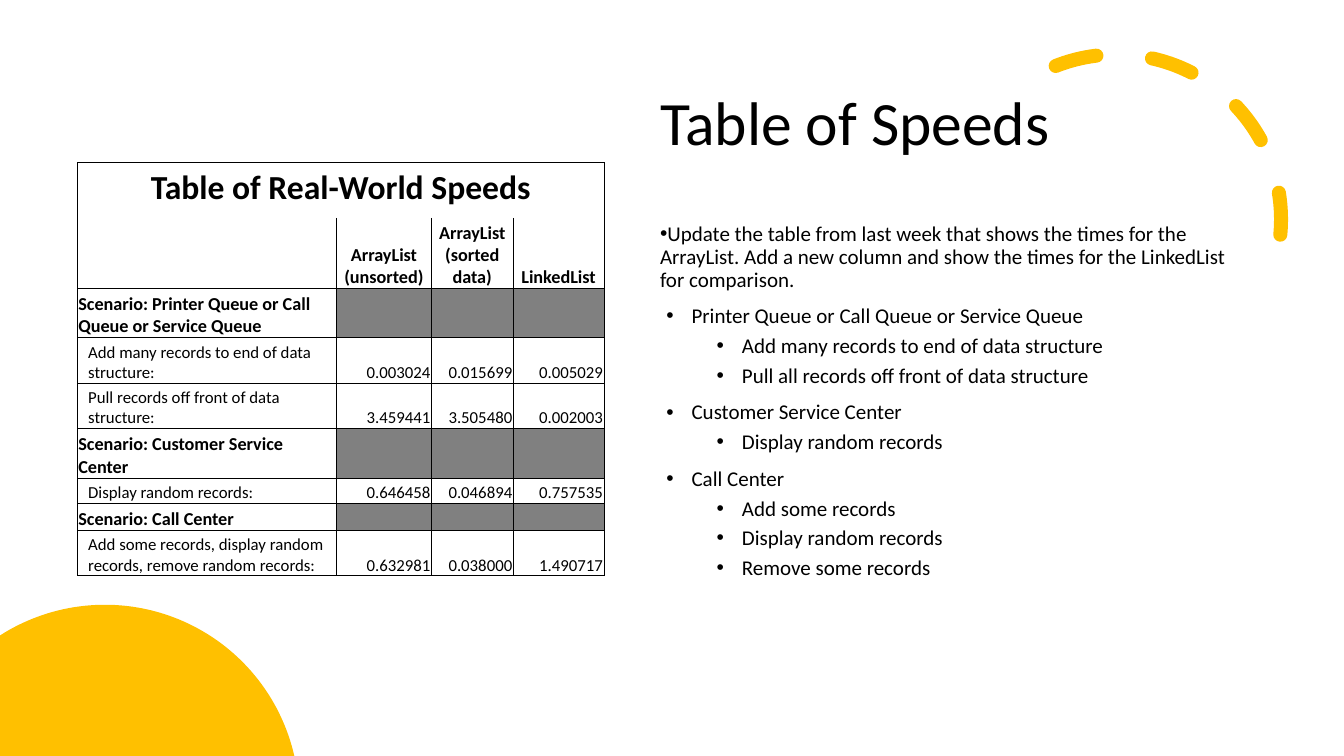
from math import cos, radians, sin

from lxml.etree import SubElement
from pptx import Presentation
from pptx.dml.color import RGBColor
from pptx.enum.dml import MSO_LINE
from pptx.enum.shapes import MSO_SHAPE
from pptx.enum.text import MSO_ANCHOR, PP_ALIGN
from pptx.oxml.ns import qn
from pptx.util import Pt

YELLOW, BLACK, GREY = "FFC000", "000000", "808080"


def colour(value):
    """Turn a hex string into a colour."""
    return RGBColor.from_string(value)


def write(para, text, size, bold=False):
    """Add one formatted run of text to a paragraph."""
    span = para.add_run()
    span.text = text
    for name, value in {"name": "Calibri", "size": Pt(size), "bold": bold}.items():
        setattr(span.font, name, value)
    span.font.color.rgb = colour(BLACK)


deck = Presentation()
deck.slide_width, deck.slide_height = Pt(960), Pt(540)
page = deck.slides.add_slide(deck.slide_layouts[5])

# Title
title = page.shapes.title
for name, value in {"left": 464.4, "top": 37.4, "width": 429.8, "height": 104.4}.items():
    setattr(title, name, Pt(value))
title.text_frame.vertical_anchor = MSO_ANCHOR.MIDDLE
para = title.text_frame.paragraphs[0]
para.alignment = PP_ALIGN.LEFT
para.line_spacing = 0.9
write(para, "Table of Speeds", 44)

# Dashed arc, top right
arc = page.shapes.add_shape(MSO_SHAPE.ARC, Pt(679.7), Pt(38.9), Pt(235.4), Pt(235.4))
arc.shadow.inherit = False
arc.adjustments[0], arc.adjustments[1] = 144.42, 0
arc.rotation = 66.1
arc._element.spPr.find(qn("a:xfrm")).set("flipH", "1")
arc.fill.background()
arc.line.color.rgb = colour(YELLOW)
arc.line.width = Pt(10)
arc.line.dash_style = MSO_LINE.DASH
arc.line._ln.set("cap", "rnd")

# Disc cut by the bottom left corner
centre_x, centre_y, radius = 74.9, 570.8, 138.8
first_angle, last_angle, steps = 237.3, 347.2, 80
rim = []
for step in range(steps + 1):
    angle = radians(first_angle + (last_angle - first_angle) * step / steps)
    rim.append((max(0, centre_x + radius * cos(angle)),
                min(540, centre_y + radius * sin(angle))))
outline = page.shapes.build_freeform(0, Pt(540), scale=1.0)
outline.add_line_segments([(Pt(x), Pt(y)) for x, y in rim], close=True)
disc = outline.convert_to_shape()
disc.shadow.inherit = False
disc.fill.solid()
disc.fill.fore_color.rgb = colour(YELLOW)
disc.line.fill.background()

# Bullet list: left margin, space before, text
bullets = [
    (0, 10, "Update the table from last week that shows the times for the ArrayList. "
            "Add a new column and show the times for the LinkedList for comparison."),
    (22.5, 10, "Printer Queue or Call Queue or Service Queue"),
    (58.5, 5, "Add many records to end of data structure"),
    (58.5, 5, "Pull all records off front of data structure"),
    (22.5, 10, "Customer Service Center"),
    (58.5, 5, "Display random records"),
    (22.5, 10, "Call Center"),
    (58.5, 5, "Add some records"),
    (58.5, 5, "Display random records"),
    (58.5, 5, "Remove some records"),
]
box = page.shapes.add_textbox(Pt(464.4), Pt(156.2), Pt(429.8), Pt(329.8))
frame = box.text_frame
frame.word_wrap = True
for index, (margin, space, text) in enumerate(bullets):
    para = frame.add_paragraph() if index else frame.paragraphs[0]
    para.level = int(margin > 50)
    para.line_spacing = 0.9
    para.space_before = Pt(space)
    props = para._p.get_or_add_pPr()
    props.set("marL", str(Pt(margin)))
    props.set("indent", str(Pt(-18)))
    SubElement(props, qn("a:buFont"), typeface="Arial")
    SubElement(props, qn("a:buChar"), char="•")
    write(para, text, 15)

# Table of speeds; a row with a label alone opens a scenario
rows = [
    (39.6, ["Table of Real-World Speeds"]),
    (50.4, ["", "ArrayList (unsorted)", "ArrayList (sorted data)", "LinkedList"]),
    (35.3, ["Scenario: Printer Queue or Call Queue or Service Queue"]),
    (32.4, ["Add many records to end of data structure:", "0.003024", "0.015699", "0.005029"]),
    (32.4, ["Pull records off front of data structure:", "3.459441", "3.505480", "0.002003"]),
    (35.3, ["Scenario: Customer Service Center"]),
    (18, ["Display random records:", "0.646458", "0.046894", "0.757535"]),
    (19.4, ["Scenario: Call Center"]),
    (32.4, ["Add some records, display random records, remove random records:",
            "0.632981", "0.038000", "1.490717"]),
]
widths = [185, 67.7, 58.5, 64.8]
holder = page.shapes.add_table(len(rows), len(widths), Pt(55.4), Pt(116),
                               Pt(sum(widths)), Pt(sum(height for height, _ in rows)))
table = holder.table
table.first_row = table.horz_banding = False
for column, width in zip(table.columns, widths):
    column.width = Pt(width)
table.cell(0, 0).merge(table.cell(0, 3))

for r, (height, texts) in enumerate(rows):
    table.rows[r].height = Pt(height)
    scenario = r > 1 and len(texts) == 1
    strong = r < 2 or scenario
    for c in range(len(widths)):
        cell = table.cell(r, c)
        text = texts[c] if c < len(texts) else ""
        indented = c == 0 and not strong
        if r == 0:
            margins = {"margin_left": 7.2, "margin_right": 7.2,
                       "margin_top": 3.6, "margin_bottom": 3.6}
        else:
            margins = {"margin_left": 7.6 if indented else 0.6, "margin_right": 0.6,
                       "margin_top": 0.6, "margin_bottom": 0}
        for name, value in margins.items():
            setattr(cell, name, Pt(value))
        cell.vertical_anchor = MSO_ANCHOR.BOTTOM if r else MSO_ANCHOR.TOP
        para = cell.text_frame.paragraphs[0]
        if r < 2:
            para.alignment = PP_ALIGN.CENTER
        else:
            para.alignment = PP_ALIGN.RIGHT if c else PP_ALIGN.LEFT
        if text:
            write(para, text, 24 if r == 0 else 13 if strong else 12, strong)
        else:
            SubElement(para._p, qn("a:endParaRPr"), sz="1200")

        # Borders come before the fill in the cell properties
        sides = {"a:lnL": r > 0 or c == 0, "a:lnR": r > 0 or c in (0, 3),
                 "a:lnT": r != 1, "a:lnB": r != 0}
        props = cell._tc.get_or_add_tcPr()
        for tag, shown in sides.items():
            border = SubElement(props, qn(tag), w=str(Pt(0.5)))
            if shown:
                paint = SubElement(border, qn("a:solidFill"))
                SubElement(paint, qn("a:srgbClr"), val=BLACK)
            else:
                SubElement(border, qn("a:noFill"))
        if scenario and c:
            cell.fill.solid()
            cell.fill.fore_color.rgb = colour(GREY)
        else:
            cell.fill.background()

deck.save("out.pptx")
